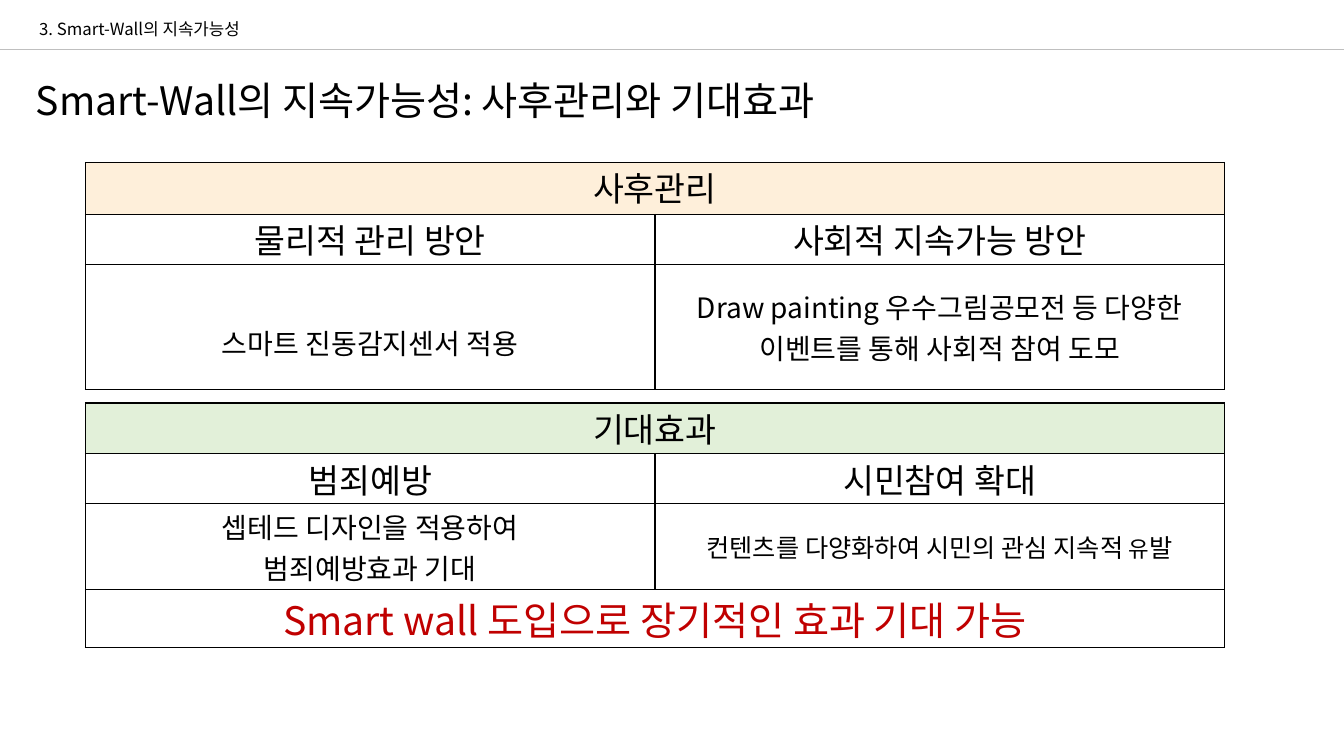
from pptx import Presentation
from pptx.dml.color import RGBColor as Rgb
from pptx.enum.shapes import MSO_CONNECTOR as Link
from pptx.enum.text import MSO_ANCHOR as Anchor, MSO_AUTO_SIZE as Fit, PP_ALIGN as Align
from pptx.oxml.ns import qn
from pptx.util import Pt
from lxml.etree import SubElement as sub

INK = {"text": "000000", "rule": "BFBFBF", "white": "FFFFFF",
       "peach": "FEEFDA", "green": "E2F0D9", "red": "C00000"}


class Deck:
    face = "Noto Sans CJK KR"

    def __init__(self):
        self.file = Presentation()
        self.file.slide_width = Pt(960)
        self.file.slide_height = Pt(540)
        self.slide = self.file.slides.add_slide(self.file.slide_layouts[6])

    def style(self, run, size, ink="text"):
        run.font.size = Pt(size)
        run.font.color.rgb = Rgb.from_string(INK[ink])
        run.font.name = self.face
        sub(run.font._element, qn("a:ea")).set("typeface", self.face)

    def put(self, frame, text, size, ink="text"):
        frame.text = text
        for para in frame.paragraphs:
            para.alignment = Align.CENTER
            for run in para.runs:
                self.style(run, size, ink)

    def label(self, text, top, width, height, size):
        box = self.slide.shapes.add_textbox(0, Pt(top), Pt(width), Pt(height))
        frame = box.text_frame
        frame.word_wrap = True
        frame.auto_size = Fit.SHAPE_TO_FIT_TEXT
        self.put(frame, text, size)

    def line(self, top, ink, weight):
        rule = self.slide.shapes.add_connector(
            Link.STRAIGHT, 0, Pt(top), self.file.slide_width, Pt(top))
        rule.line.color.rgb = Rgb.from_string(INK[ink])
        rule.line.width = Pt(weight)
        sub(rule._element.spPr, qn("a:effectLst"))

    def edge(self, cell):
        props = cell._tc.get_or_add_tcPr()
        for side in "LRTB":
            line = sub(props, qn("a:ln" + side), w=str(Pt(1)))
            fill = sub(line, qn("a:solidFill"))
            sub(fill, qn("a:srgbClr"), val=INK["text"])

    def table(self, top, rows):
        tall = sum(row[0] for row in rows)
        grid = self.slide.shapes.add_table(
            len(rows), 2, Pt(61), Pt(top), Pt(813.6), Pt(tall)).table
        grid.first_row = grid.horz_banding = False
        for y, (height, texts, size, fill, ink, anchor) in enumerate(rows):
            grid.rows[y].height = Pt(height)
            if len(texts) == 1:
                grid.cell(y, 0).merge(grid.cell(y, 1))
            for x in range(2):
                cell = grid.cell(y, x)
                cell.margin_top = cell.margin_bottom = Pt(0.4)
                cell.vertical_anchor = anchor
                self.edge(cell)
                cell.fill.solid()
                cell.fill.fore_color.rgb = Rgb.from_string(INK[fill])
                if x < len(texts):
                    self.put(cell.text_frame, texts[x], size, ink)
        return grid

    def tail(self, cell, parts):
        para = cell.text_frame.paragraphs[0]
        para.text = ""
        for text, size in parts:
            run = para.add_run()
            run.text = text
            self.style(run, size)


def main():
    deck = Deck()
    deck.label("Smart-Wall의 지속가능성: 사후관리와 기대효과", 51.1, 607.6, 48, 28)

    care = deck.table(116, [
        (37.2, ["사후관리"], 24, "peach", "text", Anchor.TOP),
        (35.8, ["물리적 관리 방안", "사회적 지속가능 방안"],
         24, "white", "text", Anchor.TOP),
        (89.3, ["스마트 진동감지센서 적용",
                "Draw painting 우수그림공모전 등 다양한 이벤트를 통해 사회적 참여 도모"],
         20, "white", "text", Anchor.MIDDLE)])
    care.cell(2, 0).margin_top = Pt(22)

    gain = deck.table(287.8, [
        (36.2, ["기대효과"], 24, "green", "text", Anchor.TOP),
        (35.8, ["범죄예방", "시민참여 확대"], 24, "white", "text", Anchor.TOP),
        (61.2, ["셉테드 디자인을 적용하여\n범죄예방효과 기대", ""],
         20, "white", "text", Anchor.MIDDLE),
        (41.4, ["Smart wall 도입으로 장기적인 효과 기대 가능"],
         28, "white", "red", Anchor.MIDDLE)])
    deck.tail(gain.cell(2, 1), [
        ("컨텐츠를 다양화하여 시민의 관심 지속적 ", 18), ("유", 16), ("발", 18)])

    deck.label("3. Smart-Wall의 지속가능성", 10, 199.4, 21.8, 12)
    deck.line(35.3, "rule", 0.5)
    deck.file.save("out.pptx")


if __name__ == "__main__":
    main()
